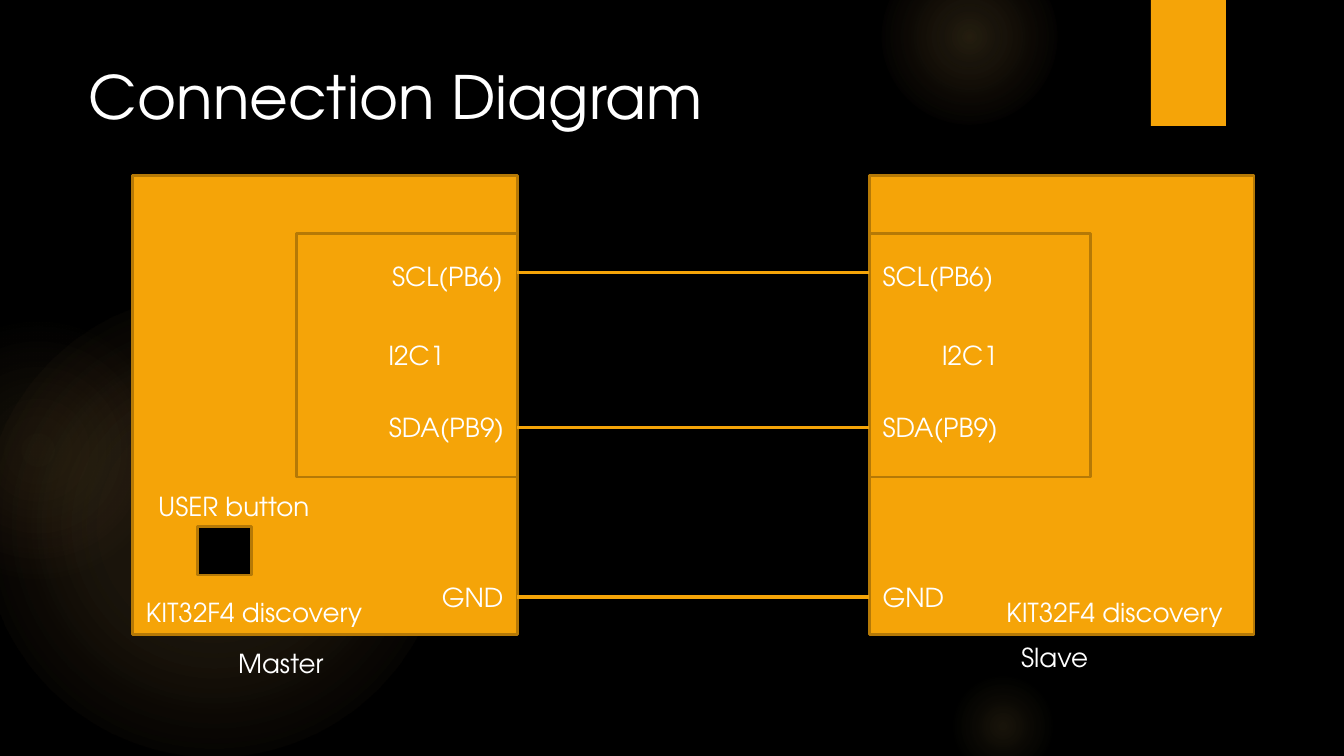
"""Build the slide showing how two boards are wired over I2C."""
from typing import NamedTuple

from lxml import etree
from pptx import Presentation
from pptx.dml.color import RGBColor
from pptx.enum.shapes import MSO_CONNECTOR, MSO_SHAPE
from pptx.enum.text import MSO_ANCHOR, MSO_AUTO_SIZE, PP_ALIGN
from pptx.oxml import parse_xml
from pptx.oxml.ns import nsdecls, qn
from pptx.shapes.autoshape import Shape
from pptx.slide import Slide
from pptx.util import Cm, Pt

RECTANGLE = MSO_SHAPE.RECTANGLE
OVAL = MSO_SHAPE.OVAL
STRAIGHT = MSO_CONNECTOR.STRAIGHT
TOP = MSO_ANCHOR.TOP
LEFT = PP_ALIGN.LEFT
FIT_SHAPE = MSO_AUTO_SIZE.SHAPE_TO_FIT_TEXT

FONT = "TeX Gyre Adventor"
BLACK, WHITE = "000000", "FFFFFF"
AMBER, BROWN = "F5A408", "B57906"
GLOW, PEACH = "FAC96A", "F59B74"

BOARD_NAME = "KIT32F4 discovery"
BOARD_TOP, BOARD_WIDTH, BOARD_HEIGHT = 3.32, 7.27, 8.68
MODULE_TOP, MODULE_WIDTH, MODULE_HEIGHT = 4.41, 4.18, 4.61
MASTER_LEFT, SLAVE_LEFT = 2.51, 16.43
MASTER_RIGHT = MASTER_LEFT + BOARD_WIDTH
LABEL_HEIGHT = 0.86


class Glow(NamedTuple):
    left: float
    top: float
    size: float
    stops: tuple[tuple[int, str, int], ...]


class Pin(NamedTuple):
    name: str
    wire_y: float
    label_top: float
    label_width: float


class Label(NamedTuple):
    text: str
    left: float
    top: float
    width: float


GLOWS = (
    Glow(-0.33, 5.56, 8.74, ((0, GLOW, 11), (36, GLOW, 10), (75, GLOW, 0))),
    Glow(-1.75, 6.05, 4.93, ((0, GLOW, 8), (36, GLOW, 5), (71, PEACH, 0))),
    Glow(17.93, 3.51, 5.87, ((0, GLOW, 7), (36, GLOW, 6), (69, GLOW, 0))),
    Glow(16.66, -0.97, 3.33, ((0, GLOW, 14), (36, GLOW, 7), (73, GLOW, 0))),
    Glow(17.93, 12.7, 2.06, ((0, GLOW, 10), (31, GLOW, 5), (66, GLOW, 0))),
)
PINS = (
    Pin("SCL(PB6)", 5.15, 4.8, 2.62),
    Pin("SDA(PB9)", 8.08, 7.65, 2.68),
    Pin("GND", 11.28, 10.86, 1.68),
)
LABELS = (
    Label("I2C1", 7.09, 6.29, 1.57),
    Label("I2C1", 17.55, 6.29, 1.57),
    Label(BOARD_NAME, MASTER_LEFT, 11.15, 4.93),
    Label(BOARD_NAME, 18.77, 11.15, 4.93),
    Label("USER button", 2.74, 9.14, 3.4),
    Label("Master", 4.25, 12.11, 2.16),
    Label("Slave", 19.05, 11.99, 1.8),
)


def color(value: str) -> RGBColor:
    """Turn a hex string into a colour."""
    return RGBColor.from_string(value)


def write(shape: Shape, text: str, *, size: float = 14, ink: str = WHITE) -> None:
    """Fill a shape with one line of formatted text."""
    frame = shape.text_frame
    frame.text = text
    frame.word_wrap = False
    frame.auto_size = FIT_SHAPE
    frame.vertical_anchor = TOP
    frame.margin_left = frame.margin_right = Cm(0.25)
    frame.margin_top = frame.margin_bottom = Cm(0.13)
    line = frame.paragraphs[0]
    line.alignment = LEFT
    line.line_spacing = 1.0
    line.space_before = Pt(0)
    line.font.name = FONT
    line.font.size = Pt(size)
    line.font.color.rgb = color(ink)


def add_label(slide: Slide, label: Label) -> None:
    """Place a label in its own text box."""
    box = slide.shapes.add_textbox(
        Cm(label.left), Cm(label.top), Cm(label.width), Cm(LABEL_HEIGHT))
    write(box, label.text)


def add_block(slide: Slide, left: float, top: float, width: float, height: float,
              fill: str = AMBER, outline: str | None = BROWN) -> None:
    """Draw a filled rectangle, outlined unless outline is None."""
    block = slide.shapes.add_shape(RECTANGLE, Cm(left), Cm(top), Cm(width), Cm(height))
    block.shadow.inherit = False
    block.fill.solid()
    block.fill.fore_color.rgb = color(fill)
    if outline is None:
        block.line.fill.background()
    else:
        block.line.color.rgb = color(outline)
        block.line.width = Pt(1.5)


def add_glow(slide: Slide, glow: Glow) -> None:
    """Draw a soft circle that fades outwards."""
    circle = slide.shapes.add_shape(
        OVAL, Cm(glow.left), Cm(glow.top), Cm(glow.size), Cm(glow.size))
    circle.shadow.inherit = False
    circle.line.fill.background()
    stops = "".join(
        f'<a:gs pos="{position * 1000}"><a:srgbClr val="{tint}">'
        f'<a:alpha val="{alpha * 1000}"/></a:srgbClr></a:gs>'
        for position, tint, alpha in glow.stops)
    gradient = parse_xml(
        f'<a:gradFill {nsdecls("a")} rotWithShape="1"><a:gsLst>{stops}</a:gsLst>'
        '<a:path path="circle"><a:fillToRect l="50000" t="50000" r="50000" b="50000"/>'
        '</a:path></a:gradFill>')
    circle._element.spPr.insert(2, gradient)


def add_wire(slide: Slide, y: float) -> None:
    """Draw a wire between the two boards."""
    wire = slide.shapes.add_connector(
        STRAIGHT, Cm(MASTER_RIGHT), Cm(y), Cm(SLAVE_LEFT), Cm(y))
    wire.line.color.rgb = color(AMBER)
    wire.line.width = Pt(2)
    etree.SubElement(wire._element.spPr, qn("a:effectLst"))


def main() -> None:
    """Assemble and save the slide."""
    deck = Presentation()
    deck.slide_width, deck.slide_height = Cm(25.4), Cm(14.29)
    slide = deck.slides.add_slide(deck.slide_layouts[5])
    slide.background.fill.solid()
    slide.background.fill.fore_color.rgb = color(BLACK)

    title = slide.shapes.title
    title.left, title.top, title.width, title.height = Cm(1.43), Cm(1), Cm(12.24), Cm(1.63)
    write(title, "Connection Diagram", size=32)

    for glow in GLOWS:
        add_glow(slide, glow)
    add_block(slide, 21.75, 0, 1.42, 2.38, outline=None)

    for board_left, module_left in (
            (MASTER_LEFT, MASTER_RIGHT - MODULE_WIDTH), (SLAVE_LEFT, SLAVE_LEFT)):
        add_block(slide, board_left, BOARD_TOP, BOARD_WIDTH, BOARD_HEIGHT)
        add_block(slide, module_left, MODULE_TOP, MODULE_WIDTH, MODULE_HEIGHT)
    add_block(slide, 3.73, 9.96, 1.02, 0.91, fill=BLACK)

    for pin in PINS:
        add_wire(slide, pin.wire_y)
        for left in (MASTER_RIGHT - pin.label_width, SLAVE_LEFT):
            add_label(slide, Label(pin.name, left, pin.label_top, pin.label_width))
    for label in LABELS:
        add_label(slide, label)
    deck.save("out.pptx")


if __name__ == "__main__":
    main()
